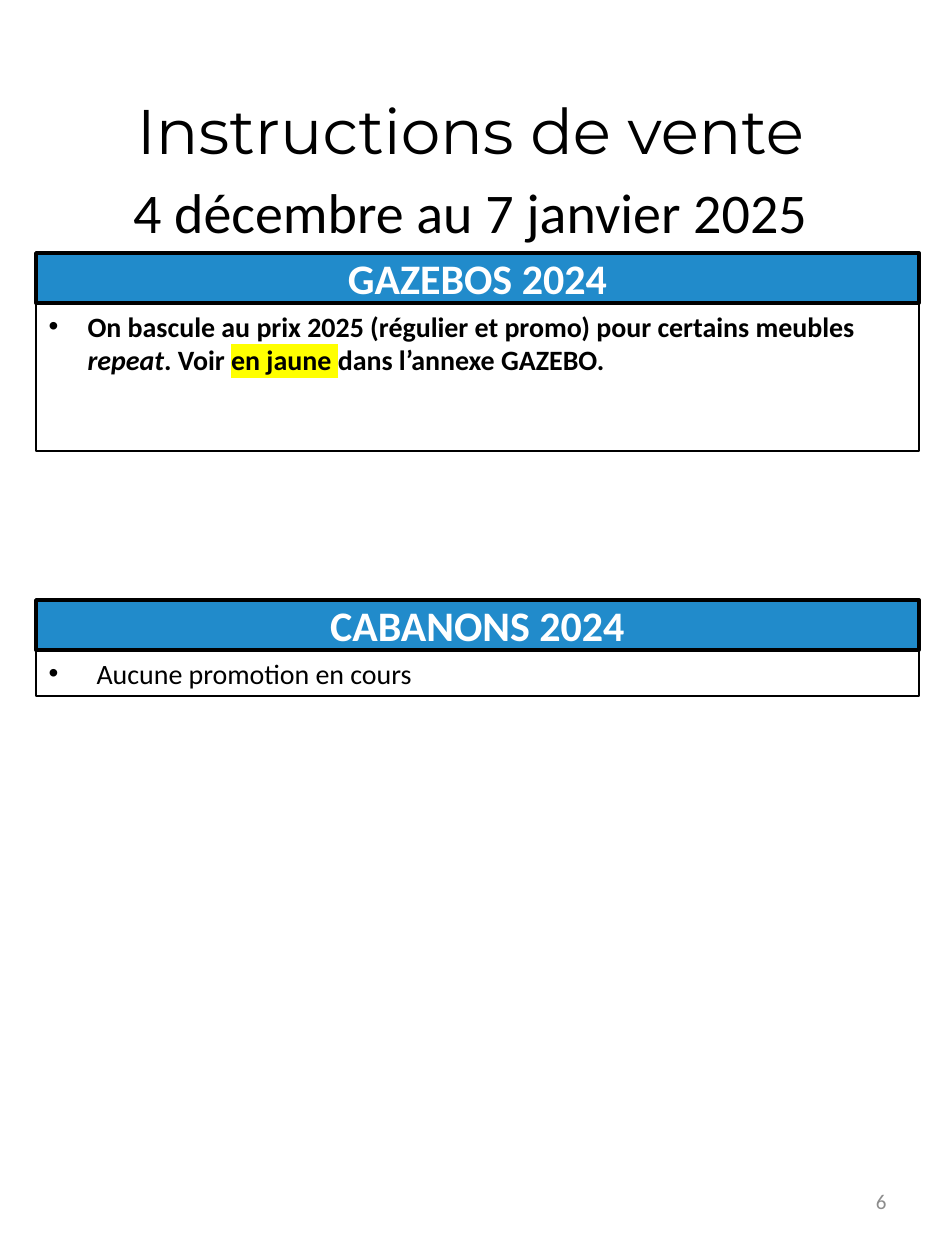
import dataclasses

import lxml.etree
import pptx
import pptx.dml.color
import pptx.enum.shapes
import pptx.enum.text
import pptx.oxml.ns
import pptx.util

PX = 914400 / 126
ALIGN = pptx.enum.text.PP_ALIGN
ANCHOR = pptx.enum.text.MSO_ANCHOR


@dataclasses.dataclass(frozen=True)
class Theme:
    black: str = "000000"
    white: str = "FFFFFF"
    banner: str = "218BCB"
    highlight: str = "FFFF00"
    muted: str = "8C8C8C"
    heading_font: str = "Montserrat"
    body_font: str = "Calibri"
    title_size: int = 36
    dates_size: int = 32
    banner_size: int = 24
    body_size: int = 16
    number_size: int = 12


def place(part, left, top, width, height):
    """Position a part, given in px."""
    part.left, part.top, part.width, part.height = (
        round(length * PX) for length in (left, top, width, height))


def add_run(paragraph, text, size, color, font="Calibri", bold=False, italic=False):
    run = paragraph.add_run()
    run.text = text
    run.font.size = pptx.util.Pt(size)
    run.font.color.rgb = pptx.dml.color.RGBColor.from_string(color)
    run.font.name = font
    run.font.bold = bold
    run.font.italic = italic
    return run


theme = Theme()
qn = pptx.oxml.ns.qn
deck = pptx.Presentation()
deck.slide_width = pptx.util.Inches(7.5)
deck.slide_height = pptx.util.Inches(10)
slide = deck.slides.add_slide(deck.slide_layouts[3])

# Title and sale dates
title = slide.shapes.title
place(title, 45, 74, 851, 149)
title.text_frame.vertical_anchor = ANCHOR.TOP
title.text_frame.auto_size = pptx.enum.text.MSO_AUTO_SIZE.NONE
heading = title.text_frame.paragraphs[0]
heading.alignment = ALIGN.CENTER
heading.line_spacing = 1.15
heading.space_after = pptx.util.Pt(10)
add_run(heading, "Instructions de vente", theme.title_size, theme.black, theme.heading_font)
heading.add_line_break()
add_run(heading, "4 décembre au 7 janvier 2025", theme.dates_size, theme.black, theme.body_font)

# Sections: banner, top, list height, indent, runs of (text, bold, italic, highlighted)
sections = [
    ("GAZEBOS 2024", 253, 148, 39, [
        ("On bascule au prix 2025 (régulier et promo) pour certains meubles ", True, False, False),
        ("repeat", True, True, False),
        (". Voir ", True, False, False),
        ("en jaune ", True, False, True),
        ("dans l’annexe GAZEBO.", True, False, False),
    ]),
    ("CABANONS 2024", 600, 46, 48, [
        ("Aucune promotion en cours", False, False, False),
    ]),
]
LEFT, WIDTH, BANNER_HEIGHT = 36, 883, 50

for number, (name, top, list_height, indent, pieces) in enumerate(sections, start=1):
    instructions = slide.placeholders[number]
    place(instructions, LEFT, top + BANNER_HEIGHT, WIDTH, list_height)
    instructions.line.color.rgb = pptx.dml.color.RGBColor.from_string(theme.black)
    instructions.line.width = pptx.util.Pt(0.75)
    instructions.text_frame.auto_size = pptx.enum.text.MSO_AUTO_SIZE.NONE
    instructions.text_frame.vertical_anchor = ANCHOR.TOP
    item = instructions.text_frame.paragraphs[0]
    properties = item._p.get_or_add_pPr()
    properties.set("marL", str(round(indent * PX)))
    properties.set("indent", str(-round(indent * PX)))
    lxml.etree.SubElement(properties, qn("a:buFont")).set("typeface", "Arial")
    lxml.etree.SubElement(properties, qn("a:buChar")).set("char", "•")
    item.space_before = pptx.util.Pt(0)
    for text, bold, italic, highlighted in pieces:
        run = add_run(item, text, theme.body_size, theme.black, theme.body_font, bold, italic)
        if highlighted:
            mark = lxml.etree.Element(qn("a:highlight"))
            lxml.etree.SubElement(mark, qn("a:srgbClr")).set("val", theme.highlight)
            run._r.rPr.find(qn("a:solidFill")).addnext(mark)

    banner = slide.shapes.add_shape(pptx.enum.shapes.MSO_SHAPE.RECTANGLE, 0, 0, 0, 0)
    place(banner, LEFT, top, WIDTH, BANNER_HEIGHT)
    banner.shadow.inherit = False
    banner.fill.solid()
    banner.fill.fore_color.rgb = pptx.dml.color.RGBColor.from_string(theme.banner)
    banner.line.color.rgb = pptx.dml.color.RGBColor.from_string(theme.black)
    banner.line.width = pptx.util.Pt(2)
    banner.text_frame.vertical_anchor = ANCHOR.MIDDLE
    label = banner.text_frame.paragraphs[0]
    label.alignment = ALIGN.CENTER
    add_run(label, name, theme.banner_size, theme.white, theme.body_font, bold=True)

# Page number
page_number = slide.shapes.add_textbox(0, 0, 0, 0)
place(page_number, 678, 1168, 221, 67)
page_number.text_frame.word_wrap = True
page_number.text_frame.vertical_anchor = ANCHOR.MIDDLE
page_number.text_frame.paragraphs[0].alignment = ALIGN.RIGHT
add_run(page_number.text_frame.paragraphs[0], "6", theme.number_size, theme.muted, theme.body_font)

deck.save("out.pptx")
